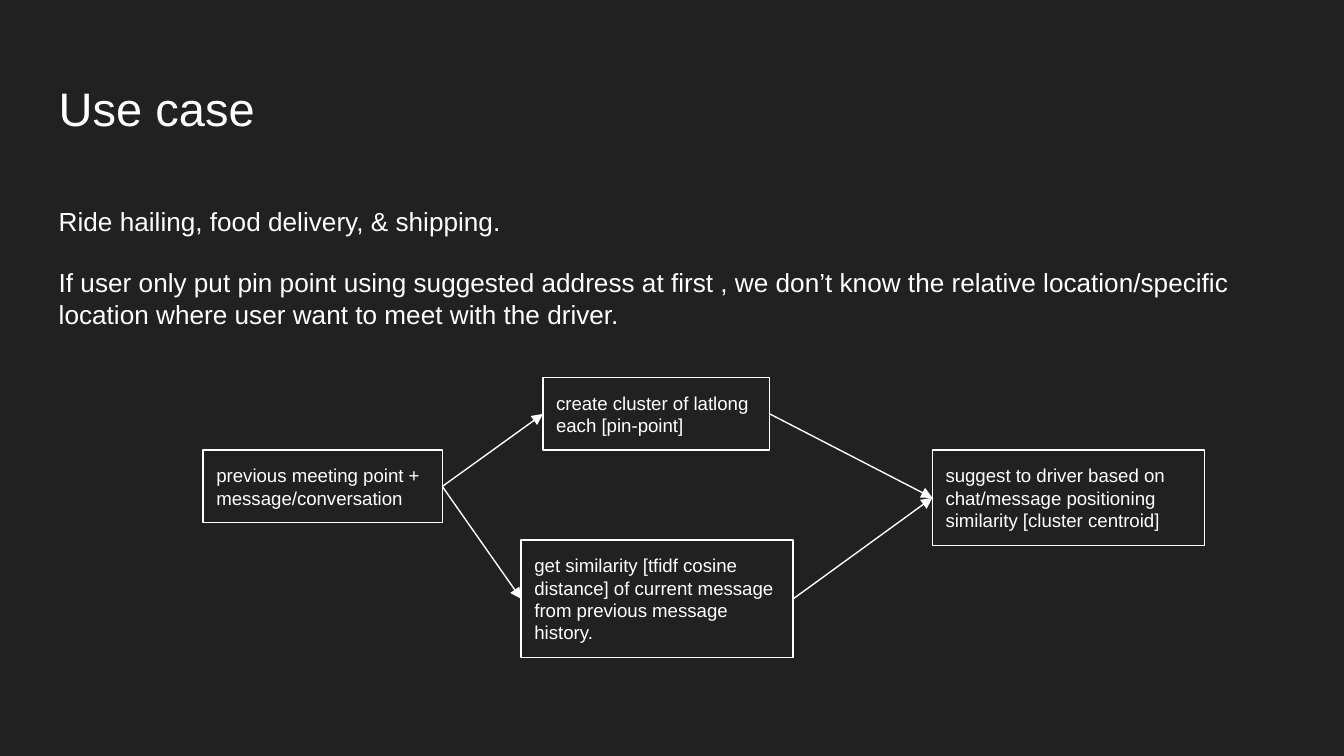
from dataclasses import dataclass

from pptx import Presentation
from pptx.dml.color import RGBColor
from pptx.enum.shapes import MSO_CONNECTOR, MSO_SHAPE
from pptx.enum.text import MSO_ANCHOR, MSO_AUTO_SIZE, PP_ALIGN
from pptx.oxml.ns import qn
from pptx.shapes.autoshape import Shape
from pptx.slide import Slide
from pptx.util import Cm, Pt
from lxml.etree import SubElement


@dataclass(frozen=True)
class Theme:
    background: RGBColor = RGBColor(0x21, 0x21, 0x21)
    ink: RGBColor = RGBColor(0xFF, 0xFF, 0xFF)
    font: str = "Arial"
    title: float = 25.2
    body: float = 14
    label: float = 10
    line: float = 0.75
    inset: float = 0.25


@dataclass(frozen=True)
class Box:
    left: float
    top: float
    width: float
    height: float


@dataclass(frozen=True)
class Step:
    name: str
    text: str
    box: Box


THEME = Theme()
RIGHT, LEFT = 3, 1  # connection sites of a rectangle

TITLE_BOX = Box(0.86, 1.24, 23.67, 1.6)
BODY_BOX = Box(0.86, 3.63, 23.09, 2.9)
BODY = [
    "Ride hailing, food delivery, & shipping.",
    "If user only put pin point using suggested address at first , we don’t know "
    "the relative location/specific location where user want to meet with the driver.",
]
STEPS = [
    Step("history", "previous meeting point + message/conversation",
         Box(3.84, 8.51, 4.52, 1.37)),
    Step("cluster", "create cluster of latlong each [pin-point]",
         Box(10.26, 7.14, 4.29, 1.37)),
    Step("similarity", "get similarity [tfidf cosine distance] of current message "
         "from previous message history.", Box(9.85, 10.21, 5.14, 2.22)),
    Step("suggestion", "suggest to driver based on chat/message positioning "
         "similarity [cluster centroid]", Box(17.62, 8.51, 5.14, 1.8)),
]
FLOWS = [
    ("history", "cluster"),
    ("history", "similarity"),
    ("cluster", "suggestion"),
    ("similarity", "suggestion"),
]


def place(sp: Shape, box: Box) -> None:
    sp.left, sp.top = Cm(box.left), Cm(box.top)
    sp.width, sp.height = Cm(box.width), Cm(box.height)


def write(sp: Shape, lines: list[str], size: float, anchor: MSO_ANCHOR) -> None:
    """Fill a shape with left-aligned paragraphs, one line apart."""
    tf = sp.text_frame
    tf.word_wrap = True
    tf.auto_size = MSO_AUTO_SIZE.NONE
    tf.vertical_anchor = anchor
    tf.margin_left = tf.margin_right = Cm(THEME.inset)
    tf.margin_top = tf.margin_bottom = Cm(THEME.inset)
    tf.text = "\n".join(lines)
    for i, p in enumerate(tf.paragraphs):
        p.alignment = PP_ALIGN.LEFT
        p.space_before = Pt(size * 1.15 if i else 0)
        p.font.name = THEME.font
        p.font.size = Pt(size)
        p.font.color.rgb = THEME.ink


def remove_bullets(sp: Shape) -> None:
    for p in sp.text_frame.paragraphs:
        pPr = p._p.get_or_add_pPr()
        pPr.set("marL", "0")
        pPr.set("indent", "0")
        pPr.insert_element_before(pPr.makeelement(qn("a:buNone"), {}),
                                  "a:tabLst", "a:defRPr", "a:extLst")


def add_step(s: Slide, step: Step) -> Shape:
    sp = s.shapes.add_shape(MSO_SHAPE.RECTANGLE, 0, 0, 0, 0)
    place(sp, step.box)
    sp.shadow.inherit = False
    sp.fill.background()
    sp.line.color.rgb = THEME.ink
    sp.line.width = Pt(THEME.line)
    write(sp, [step.text], THEME.label, MSO_ANCHOR.MIDDLE)
    return sp


def add_arrow(s: Slide, start: Shape, end: Shape) -> None:
    line = s.shapes.add_connector(MSO_CONNECTOR.STRAIGHT, 0, 0, 0, 0)
    line.begin_connect(start, RIGHT)
    line.end_connect(end, LEFT)
    line.line.color.rgb = THEME.ink
    line.line.width = Pt(THEME.line)
    SubElement(line.line._get_or_add_ln(), qn("a:tailEnd"), type="triangle")
    SubElement(line._element.spPr, qn("a:effectLst"))


def main() -> None:
    prs = Presentation()
    prs.slide_width, prs.slide_height = Cm(25.4), Cm(14.29)
    s = prs.slides.add_slide(prs.slide_layouts[1])
    s.background.fill.solid()
    s.background.fill.fore_color.rgb = THEME.background

    # Title and introduction
    title, body = s.shapes.title, s.placeholders[1]
    place(title, TITLE_BOX)
    write(title, ["Use case"], THEME.title, MSO_ANCHOR.MIDDLE)
    place(body, BODY_BOX)
    write(body, BODY, THEME.body, MSO_ANCHOR.TOP)
    remove_bullets(body)

    # Flow diagram
    shapes = {step.name: add_step(s, step) for step in STEPS}
    for start, end in FLOWS:
        add_arrow(s, shapes[start], shapes[end])

    prs.save("out.pptx")


if __name__ == "__main__":
    main()
